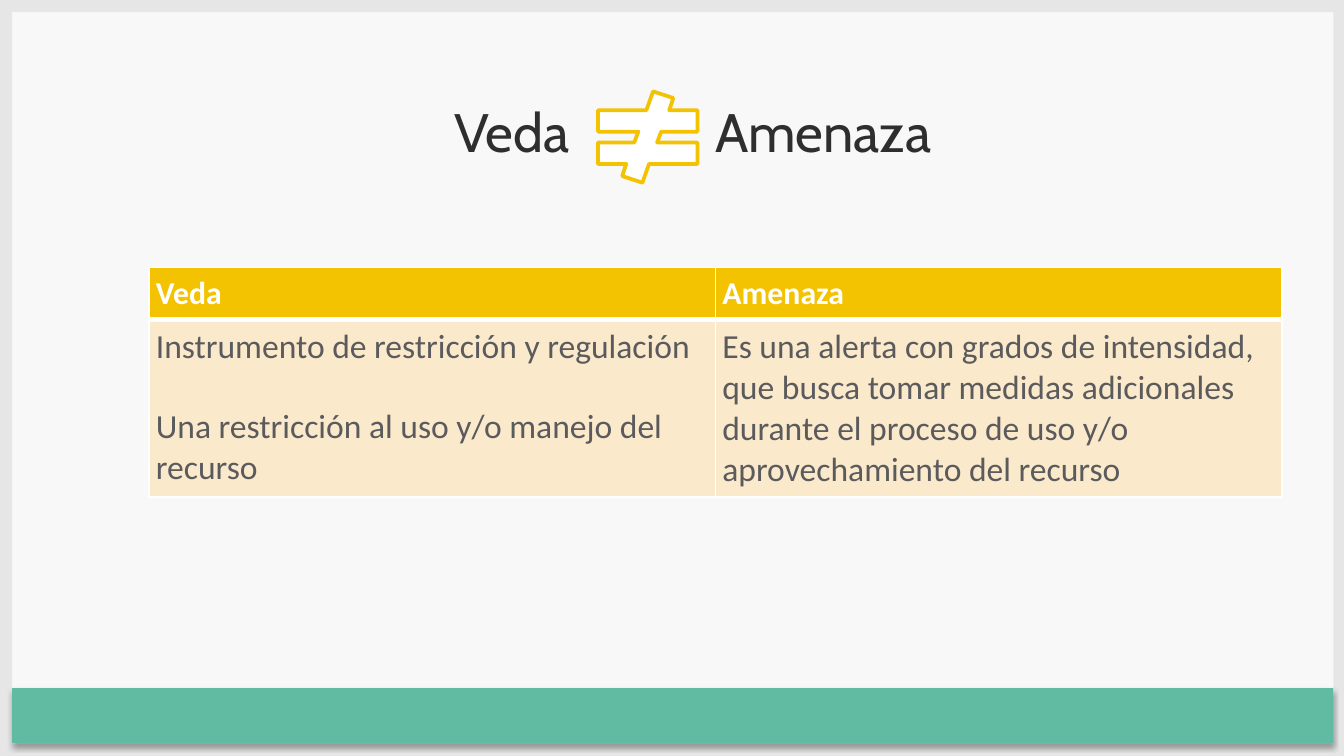
from lxml import etree
from pptx import Presentation
from pptx.dml.color import RGBColor
from pptx.enum import shapes, text
from pptx.oxml import ns
from pptx.util import Inches, Pt

COLORS = {
    "background": "F8F8F8", "frame": "E6E6E6", "green": "61BBA2",
    "title": "2E2E2F", "body": "5B5B5E", "white": "FFFFFF",
    "yellow": "F3C200", "cream": "FAE9CA", "shadow": "000000",
}
WIDTH = 10
HEIGHT = WIDTH * 9 / 16
EDGE = 0.09
HEADERS = ["Veda", "Amenaza"]
DEFINITIONS = [
    ["Instrumento de restricción y regulación",
     "Una restricción al uso y/o manejo del recurso"],
    ["Es una alerta con grados de intensidad, que busca tomar medidas "
     "adicionales durante el proceso de uso y/o aprovechamiento del recurso"],
]


def rgb(name):
    return RGBColor.from_string(COLORS[name])


def sub(parent, tag, **attrs):
    return etree.SubElement(parent, ns.qn(tag), attrs)


def set_fill(target, color):
    target.fill.solid()
    target.fill.fore_color.rgb = rgb(color)


def set_font(p, name, size, color, bold=False):
    p.font.name, p.font.size, p.font.bold = name, Pt(size), bold
    p.font.color.rgb = rgb(color)


def set_margins(box, margin=0.05):
    box.margin_left = box.margin_right = Inches(margin)
    box.margin_top = box.margin_bottom = Inches(margin)


def add_bar(s, x, y, w, h, color):
    sp = s.shapes.add_shape(shapes.MSO_SHAPE.RECTANGLE, *map(Inches, (x, y, w, h)))
    sp.shadow.inherit = False
    set_fill(sp, color)
    sp.line.fill.background()
    return sp


def add_drop_shadow(sp):
    effects = sp._element.spPr.find(ns.qn("a:effectLst"))
    shadow = sub(effects, "a:outerShdw", blurRad=str(Pt(3)), dist=str(Pt(1.8)),
                 dir="5400000", algn="t", rotWithShape="0")
    color = sub(shadow, "a:srgbClr", val=COLORS["shadow"])
    sub(color, "a:alpha", val="35000")


def add_frame(s):
    add_bar(s, 0, 0, WIDTH, EDGE, "frame")
    add_bar(s, 0, HEIGHT - EDGE, WIDTH, EDGE, "frame")
    add_bar(s, 0, 0, EDGE, HEIGHT, "frame")
    add_bar(s, 9.92, 0, EDGE, HEIGHT, "frame")
    add_drop_shadow(add_bar(s, EDGE, 5.12, 9.83, 0.41, "green"))


def add_title(s):
    """Put both words on one line, the second at a tab stop past the sign."""
    title = s.shapes.title
    title.left, title.top, title.width, title.height = map(
        Inches, (0.43, 0.68, 9.45, 0.88))
    tf = title.text_frame
    tf.auto_size = text.MSO_AUTO_SIZE.NONE
    tf.vertical_anchor = text.MSO_ANCHOR.TOP
    set_margins(tf)
    tf.margin_left = Inches(2.95)
    p = tf.paragraphs[0]
    p.text = "\t".join(HEADERS)
    p.alignment = text.PP_ALIGN.LEFT
    tabs = sub(p._p.get_or_add_pPr(), "a:tabLst")
    sub(tabs, "a:tab", pos=str(Inches(1.94)), algn="l")
    set_font(p, "Cabin", 29, "title")


def add_not_equal(s):
    """Draw the sign; its second half is the first turned by 180 degrees."""
    cx, cy = 4.82, 1.02
    half = [(-0.37, -0.2), (-0.01, -0.2), (0.04, -0.34), (0.19, -0.29),
            (0.16, -0.2), (0.37, -0.2), (0.37, -0.04), (0.1, -0.04),
            (0.07, 0.04), (0.37, 0.04)]
    outline = half + [(-x, -y) for x, y in half]
    points = [(Inches(cx + x), Inches(cy + y)) for x, y in outline]
    builder = s.shapes.build_freeform(*points[0])
    builder.add_line_segments(points[1:], close=True)
    sp = builder.convert_to_shape()
    sp.shadow.inherit = False
    set_fill(sp, "white")
    sp.line.color.rgb = rgb("yellow")
    sp.line.width = Pt(2)
    sub(sp.line._get_or_add_ln(), "a:round")


def set_borders(cell, top, bottom):
    tcPr = cell._tc.get_or_add_tcPr()
    for i, (side, width) in enumerate(zip("LRTB", (1, 1, top, bottom))):
        ln = etree.Element(ns.qn(f"a:ln{side}"), w=str(Pt(width)))
        sub(sub(ln, "a:solidFill"), "a:srgbClr", val=COLORS["white"])
        tcPr.insert(i, ln)


def fill_cell(cell, lines, fill, size, color, bold):
    set_margins(cell)
    set_fill(cell, fill)
    tf = cell.text_frame
    for i, line in enumerate(lines):
        p = tf.add_paragraph() if i else tf.paragraphs[0]
        p.text = line
        if i:
            p.space_before = Pt(21)
        set_font(p, "Calibri", size, color, bold)


def add_comparison(s):
    frame = s.shapes.add_table(2, 2, *map(Inches, (1.11, 1.99, 8.43, 1.19)))
    table = frame.table
    table.horz_banding = False
    table.rows[0].height, table.rows[1].height = Inches(0.34), Inches(0.85)
    for col, (header, lines) in enumerate(zip(HEADERS, DEFINITIONS)):
        head, body = table.cell(0, col), table.cell(1, col)
        fill_cell(head, [header], "yellow", 17, "white", True)
        fill_cell(body, lines, "cream", 18, "body", False)
        set_borders(head, 1, 3)
        set_borders(body, 3, 1)


def main():
    prs = Presentation()
    prs.slide_width, prs.slide_height = Inches(WIDTH), Inches(HEIGHT)
    s = prs.slides.add_slide(prs.slide_layouts[5])
    set_fill(s.background, "background")
    add_frame(s)
    add_title(s)
    add_comparison(s)
    add_not_equal(s)
    prs.save("out.pptx")


if __name__ == "__main__":
    main()
